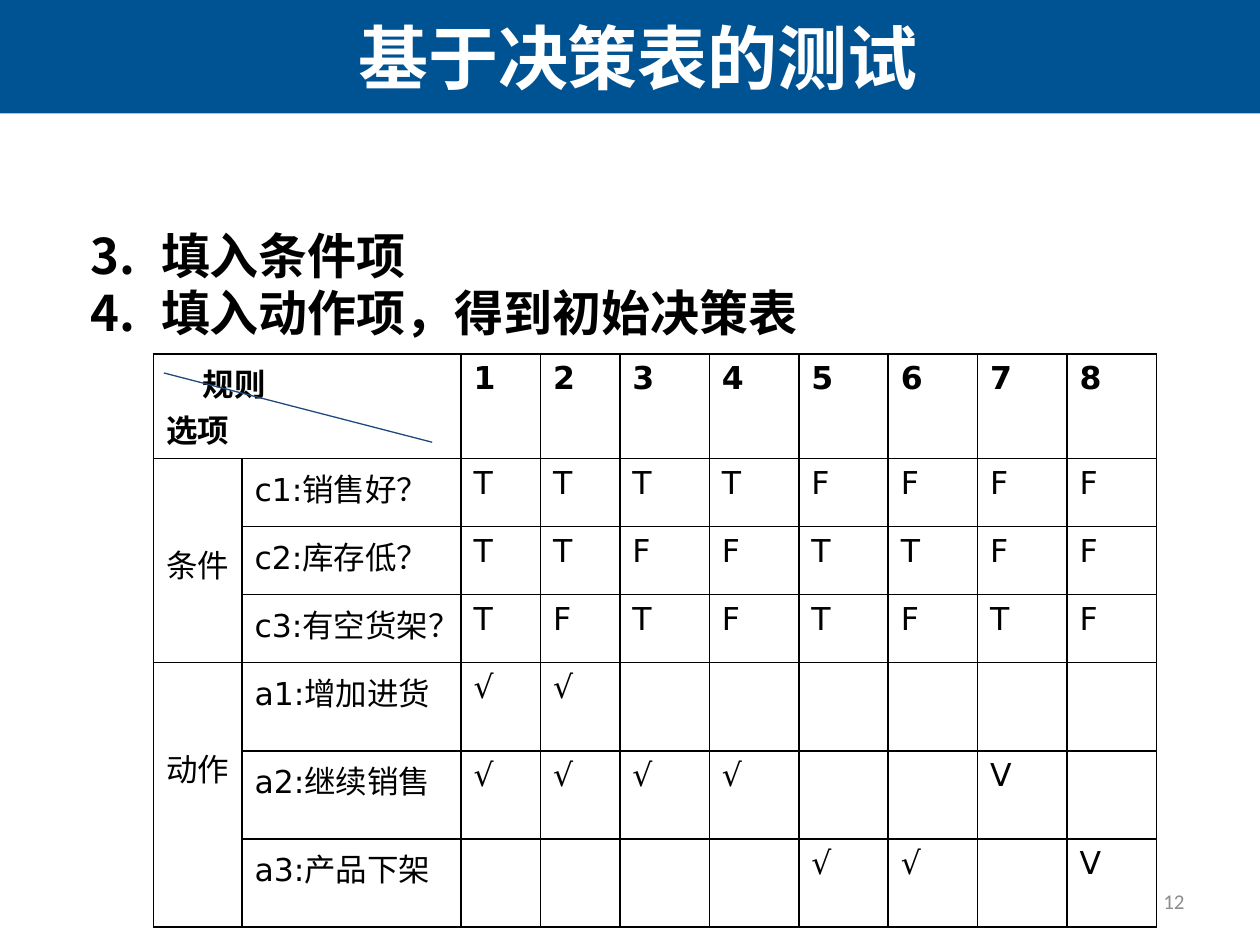
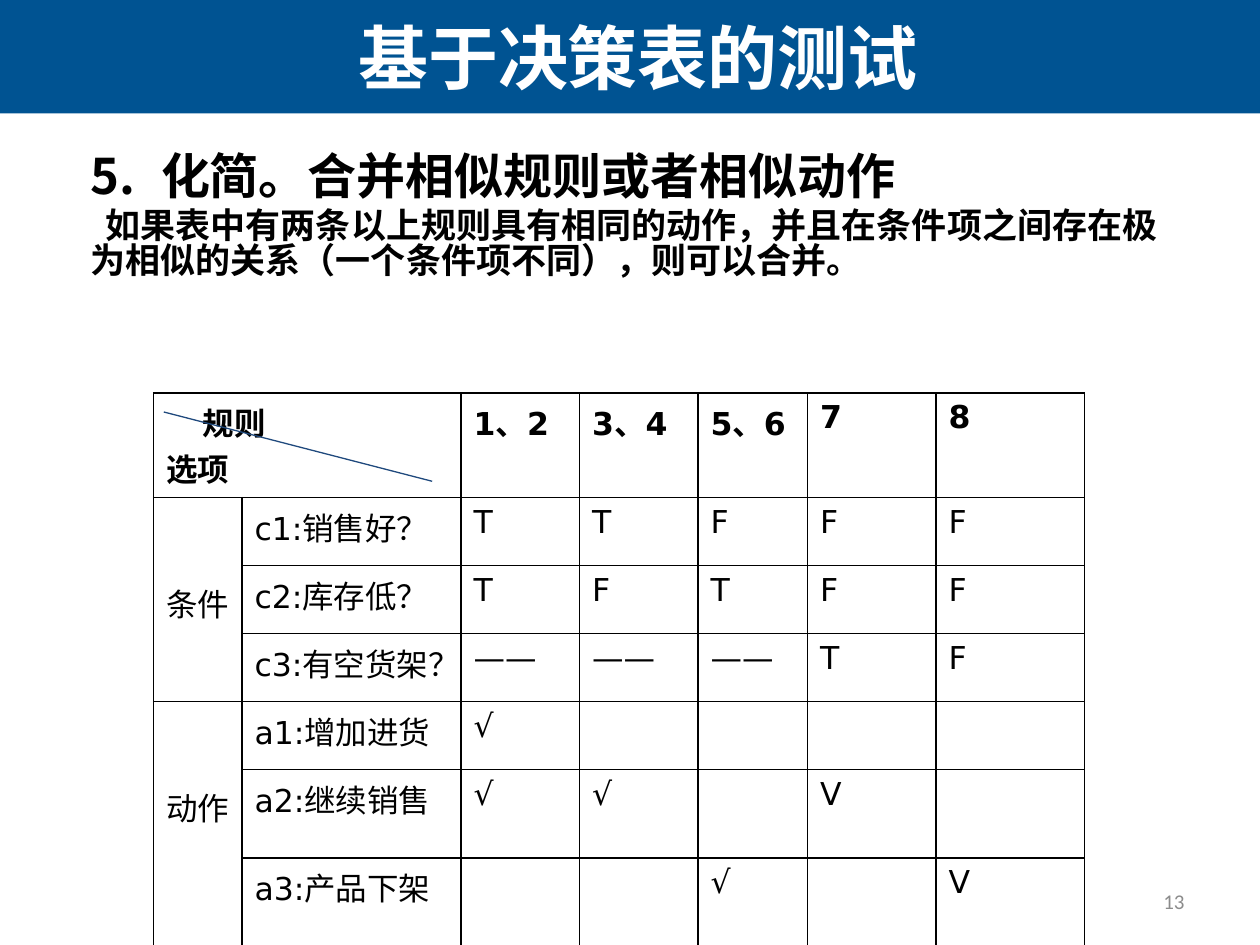
import pptx
import pptx.dml.color
import pptx.enum.shapes
import pptx.enum.text
import pptx.oxml.ns
import pptx.util
from lxml import etree

Inches = pptx.util.Inches
Pt = pptx.util.Pt
ALIGN = pptx.enum.text.PP_ALIGN
ANCHOR = pptx.enum.text.MSO_ANCHOR
qn = pptx.oxml.ns.qn

COLORS = {"band": "005392", "white": "FFFFFF", "text": "000000", "number": "8C8C8C", "diagonal": "1F497D"}
CJK = "Noto Sans CJK SC"
TITLE = " 基于决策表的测试"
HEADER = ["规则", "选项"]
GROUPS = ["条件", "动作"]
GROUP_SIZE = 3
OPTIONS = ["c1:销售好？", "c2:库存低？", "c3:有空货架？", "a1:增加进货", "a2:继续销售", "a3:产品下架"]
LABEL_COLS = [0.7, 1.74]
TABLE_LEFT = 1.22

SLIDES = [
    {
        "number": "12",
        "body_top": 1.82,
        "steps_from": 3,
        "steps": ["填入条件项", "填入动作项，得到初始决策表"],
        "note": None,
        "table_top": 2.81,
        "rule_cols": [0.63] * 2 + [0.71] * 6,
        "row_heights": [0.83] + [0.54] * 3 + [0.7] * 3,
        "rules": ["1", "2", "3", "4", "5", "6", "7", "8"],
        "entries": [
            ["T", "T", "T", "T", "F", "F", "F", "F"],
            ["T", "T", "F", "F", "T", "T", "F", "F"],
            ["T", "F", "T", "F", "T", "F", "T", "F"],
            ["√", "√", "", "", "", "", "", ""],
            ["√", "√", "√", "√", "", "", "V", ""],
            ["", "", "", "", "√", "√", "", "V"],
        ],
    },
    {
        "number": "13",
        "body_top": 1.19,
        "steps_from": 5,
        "steps": ["化简。合并相似规则或者相似动作"],
        "note": "如果表中有两条以上规则具有相同的动作，并且在条件项之间存在极为相似的关系（一个条件项不同），则可以合并。",
        "table_top": 3.12,
        "rule_cols": [0.94, 0.94, 0.87, 1.02, 1.18],
        "row_heights": [0.83] + [0.54] * 4 + [0.7] * 2,
        "rules": ["1、2", "3、4", "5、6", "7", "8"],
        "entries": [
            ["T", "T", "F", "F", "F"],
            ["T", "F", "T", "F", "F"],
            ["——", "——", "——", "T", "F"],
            ["√", "", "", "", ""],
            ["√", "√", "", "V", ""],
            ["", "", "√", "", "V"],
        ],
    },
]


def rgb(name):
    return pptx.dml.color.RGBColor.from_string(COLORS[name])


def write(tf, text, size=18, font="DejaVu Sans", color="text", bold=False, align=None,
          new=False, before=0, spacing=None, margin=0, indent=0, number_from=None):
    p = tf.add_paragraph() if new else tf.paragraphs[0]
    pPr = p._p.get_or_add_pPr()
    pPr.set("marL", str(Inches(margin)))
    pPr.set("indent", str(Inches(indent)))
    if number_from:
        etree.SubElement(pPr, qn("a:buFont"), typeface=CJK)
        etree.SubElement(pPr, qn("a:buAutoNum"), type="arabicPeriod", startAt=str(number_from))
    p.alignment = align
    p.line_spacing = spacing
    if new:
        p.space_before = Pt(before)
    r = p.add_run()
    r.text = text
    r.font.size = Pt(size)
    r.font.bold = bold
    r.font.color.rgb = rgb(color)
    r.font.name = font
    etree.SubElement(r._r.get_or_add_rPr(), qn("a:ea"), typeface=CJK)


def add_box(slide, left, top, width, height, anchor=ANCHOR.TOP):
    tf = slide.shapes.add_textbox(Inches(left), Inches(top), Inches(width), Inches(height)).text_frame
    tf.word_wrap = True
    tf.vertical_anchor = anchor
    return tf


def add_frame(slide, number):
    sp = slide.shapes.add_shape(pptx.enum.shapes.MSO_SHAPE.RECTANGLE, 0, 0, Inches(10), Inches(0.9))
    sp.shadow.inherit = False
    sp.fill.solid()
    sp.fill.fore_color.rgb = rgb("band")
    sp.line.fill.background()
    write(add_box(slide, 0, 0, 10, 0.9, ANCHOR.MIDDLE), TITLE,
          size=40, font=CJK, color="white", bold=True, align=ALIGN.CENTER)
    write(add_box(slide, 7.17, 6.95, 2.33, 0.4, ANCHOR.MIDDLE), number,
          size=12, font="Calibri", color="number", align=ALIGN.RIGHT)


def add_body(slide, data):
    tf = add_box(slide, 0.62, data["body_top"], 8.75, 1.6)
    style = {"font": "Arial", "bold": True, "spacing": 0.82}
    for i, step in enumerate(data["steps"]):
        write(tf, step, size=28, new=i > 0, before=5, margin=0.56, indent=-0.56,
              number_from=data["steps_from"], **style)
    if data["note"]:
        write(tf, data["note"], size=20, new=True, before=4, indent=0.12, **style)


def style_cell(cell):
    cell.fill.background()
    tcPr = cell._tc.get_or_add_tcPr()
    for i, side in enumerate(("lnL", "lnR", "lnT", "lnB")):
        ln = etree.Element(qn("a:" + side), w=str(Pt(1)))
        fill = etree.SubElement(ln, qn("a:solidFill"))
        etree.SubElement(fill, qn("a:srgbClr"), val=COLORS["text"])
        tcPr.insert(i, ln)


def add_decision_table(slide, data):
    widths = LABEL_COLS + data["rule_cols"]
    heights = data["row_heights"]
    top = data["table_top"]
    table = slide.shapes.add_table(len(heights), len(widths), Inches(TABLE_LEFT), Inches(top),
                                   Inches(sum(widths)), Inches(sum(heights))).table
    table.first_row = table.horz_banding = False
    for col, width in zip(table.columns, widths):
        col.width = Inches(width)
    for row, height in zip(table.rows, heights):
        row.height = Inches(height)
    for cell in table.iter_cells():
        style_cell(cell)

    corner = table.cell(0, 0)
    corner.merge(table.cell(0, 1))
    write(corner.text_frame, HEADER[0], bold=True, indent=0.29)
    write(corner.text_frame, HEADER[1], bold=True, new=True)
    for g, group in enumerate(GROUPS):
        first = 1 + g * GROUP_SIZE
        cell = table.cell(first, 0)
        cell.merge(table.cell(first + GROUP_SIZE - 1, 0))
        cell.margin_top = Inches(0.65)
        write(cell.text_frame, group)

    for c, rule in enumerate(data["rules"], 2):
        write(table.cell(0, c).text_frame, rule, bold=True)
    for r, (option, entries) in enumerate(zip(OPTIONS, data["entries"]), 1):
        for c, text in enumerate([option] + entries, 1):
            if text:
                write(table.cell(r, c).text_frame, text)

    line = slide.shapes.add_connector(pptx.enum.shapes.MSO_CONNECTOR.STRAIGHT, Inches(1.3),
                                      Inches(top + 0.15), Inches(3.43), Inches(top + 0.7))
    line.line.color.rgb = rgb("diagonal")
    line.line.width = Pt(0.75)
    etree.SubElement(line._element.spPr, qn("a:effectLst"))


def main():
    prs = pptx.Presentation()
    prs.slide_width, prs.slide_height = Inches(10), Inches(7.5)
    for data in SLIDES:
        slide = prs.slides.add_slide(prs.slide_layouts[6])
        add_frame(slide, data["number"])
        add_body(slide, data)
        add_decision_table(slide, data)
    prs.save("out.pptx")


if __name__ == "__main__":
    main()
